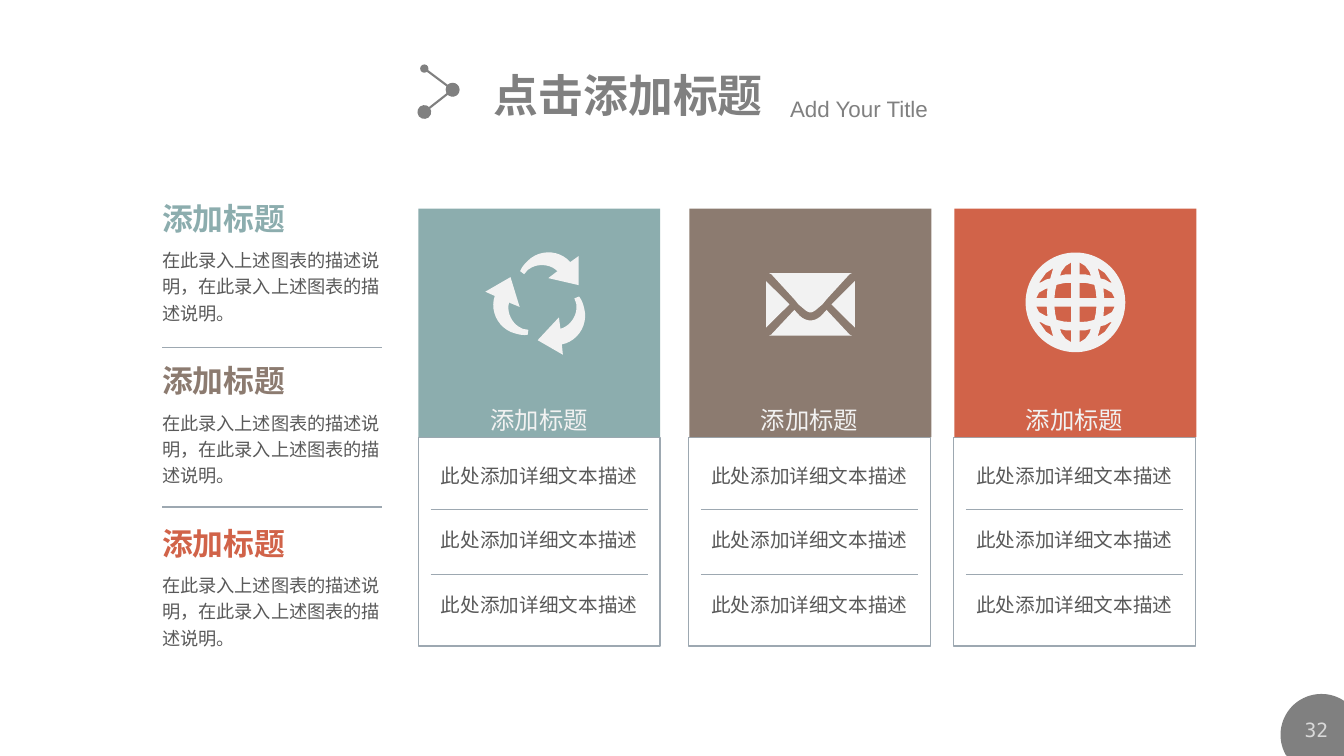
from itertools import product
from math import cos, pi, sin

from lxml import etree
from pptx import Presentation
from pptx import util as u
from pptx.dml.color import RGBColor
from pptx.enum import shapes, text
from pptx.oxml import ns

TEAL = RGBColor(0x8C, 0xAD, 0xAE)
BROWN = RGBColor(0x8C, 0x7B, 0x70)
ORANGE = RGBColor(0xD1, 0x63, 0x49)
RULE = RGBColor(0x9D, 0xA8, 0xB1)
INK = RGBColor(0x59, 0x59, 0x59)
GREY = RGBColor(0x80, 0x80, 0x80)
PALE = RGBColor(0xF2, 0xF2, 0xF2)
SILVER = RGBColor(0xD9, 0xD9, 0xD9)

CJK = "Noto Sans CJK SC"
SLIDE_WIDTH, SLIDE_HEIGHT = 960, 540


def set_values(target, **values):
    for name, value in values.items():
        setattr(target, name, value)


def write(shape, words, size, color, face=CJK, bold=False, align=text.PP_ALIGN.LEFT,
          spacing=None, wrap=True, baseline=None):
    frame = shape.text_frame
    set_values(frame, word_wrap=wrap, vertical_anchor=text.MSO_ANCHOR.TOP,
               auto_size=text.MSO_AUTO_SIZE.SHAPE_TO_FIT_TEXT)
    para = frame.paragraphs[0]
    set_values(para, alignment=align, line_spacing=spacing)
    span = para.add_run()
    span.text = words
    set_values(span.font, name=face, size=u.Pt(size), bold=bold)
    span.font.color.rgb = color
    properties = span._r.get_or_add_rPr()
    latin = properties.find(ns.qn("a:latin"))
    east_asian = etree.Element(ns.qn("a:ea"), typeface=CJK)
    latin.addnext(east_asian)
    if baseline is not None:
        properties.set("baseline", str(baseline))


def add_text(page, box, words, size, color, **style):
    write(page.shapes.add_textbox(*map(u.Pt, box)), words, size, color, **style)


def add_line(page, start, end, color=RULE, width=1, ends=()):
    """Draw a straight line; ends maps headEnd and tailEnd to oval sizes."""
    line = page.shapes.add_connector(shapes.MSO_CONNECTOR.STRAIGHT,
                                     *map(u.Pt, (*start, *end)))
    line.line.color.rgb = color
    line.line.width = u.Pt(width)
    outline = line.line._get_or_add_ln()
    for tag, size in ends:
        etree.SubElement(outline, ns.qn(f"a:{tag}"), type="oval", w=size, len=size)
    etree.SubElement(line._element.spPr, ns.qn("a:effectLst"))


def add_rectangle(page, box, fill=None, border=None):
    panel = page.shapes.add_shape(shapes.MSO_SHAPE.RECTANGLE, *map(u.Pt, box))
    panel.shadow.inherit = False
    if fill is None:
        panel.fill.background()
    else:
        panel.fill.solid()
        panel.fill.fore_color.rgb = fill
    if border is None:
        panel.line.fill.background()
    else:
        panel.line.color.rgb = border
        panel.line.width = u.Pt(1)


def add_outline(page, center, contours, color):
    """Fill closed contours whose points are offsets from center."""
    contours = [[(u.Pt(center[0] + x), u.Pt(center[1] + y)) for x, y in contour]
                for contour in contours]
    builder = page.shapes.build_freeform(*contours[0][0], scale=1.0)
    builder.add_line_segments(contours[0][1:], close=True)
    for contour in contours[1:]:
        builder.move_to(*contour[0])
        builder.add_line_segments(contour[1:], close=True)
    outline = builder.convert_to_shape()
    outline.shadow.inherit = False
    outline.fill.solid()
    outline.fill.fore_color.rgb = color
    outline.line.fill.background()


def circle(radius, count=96):
    return [(radius * cos(2 * pi * i / count), radius * sin(2 * pi * i / count))
            for i in range(count)]


def flatten(steps, pieces=10):
    """Turn steps of one point (line) or three points (Bezier curve) into points."""
    points = []
    for step in steps:
        if len(step) == 1:
            points.append(step[0])
            continue
        knots = (points[-1], *step)
        for i in range(1, pieces + 1):
            t = i / pieces
            weights = ((1 - t) ** 3, 3 * t * (1 - t) ** 2, 3 * t * t * (1 - t), t ** 3)
            points.append(tuple(sum(w * k[axis] for w, k in zip(weights, knots))
                                for axis in (0, 1)))
    return points


def recycle_contours():
    arrow = flatten([
        [(26, -32)], [(20, -27.7)],
        [(13, -35.6), (0.7, -37), (-8, -30.6)],
        [(-11.5, -27.7), (-14.4, -24.8), (-15.8, -21.2)],
        [(-13, -19)],
        [(-11.5, -20.5), (-10.8, -22), (-9.4, -22.7)],
        [(-3.6, -27), (5.8, -26.3), (10.8, -21.2)],
        [(4.3, -16.2)], [(26, -11.2)]])
    turns = [2 * pi * i / 3 for i in range(3)]
    return [[(x * cos(a) - y * sin(a), x * sin(a) + y * cos(a)) for x, y in arrow]
            for a in turns]


def envelope_contours():
    def mirrored(half):
        return half + [(-x, y) for x, y in reversed(half)]

    side = [(-31.7, -16.6), (-31.7, 16.6), (-15, 0)]
    flap = flatten([[(-29.5, -22.3)], [(-28, -21.6)], [(-11.5, -3.6)], [(-8.6, 0)],
                    [(-4.3, 3.6)], [(-3.6, 4.3), (-1.4, 5.8), (0, 5.8)]])
    body = flatten([[(-29.5, 22.3)], [(-28, 21.6)], [(-11.5, 4)], [(-7.9, 7.9)],
                    [(-5.8, 10), (-2.9, 11.5), (0, 11.5)]])
    return [side, [(-x, y) for x, y in side], mirrored(flap), mirrored(body)]


def globe_contours():
    quarter_holes = [
        [(3, 3), (15, 3), (14.5, 8), (13.5, 12.5), (8, 13.8), (3, 14)],
        [(3, 20), (7, 20), (11, 19), (10, 22), (7, 26), (3, 28.5)],
        [(20.5, 3), (28, 3), (26, 7), (21.5, 9.5), (20, 10)],
        [(18, 17), (21, 16.3), (24.5, 14.3), (26, 14), (21, 21), (15, 25), (16, 24)]]
    holes = [[(x * across, y * down) for x, y in hole]
             for across, down in product((1, -1), repeat=2) for hole in quarter_holes]
    return [circle(35.6)] + holes


def page_number(page, center, radius):
    x, y = center
    disc = [(min(dx, SLIDE_WIDTH - x), min(dy, SLIDE_HEIGHT - y))
            for dx, dy in circle(radius)]
    add_outline(page, center, [disc], GREY)
    add_text(page, (x - 21.6, y - 15.8, 36, 22.3), "32", 14, SILVER,
             face="DejaVu Sans Mono", align=text.PP_ALIGN.CENTER)


def heading(page, left, top):
    title = page.shapes.title
    set_values(title, left=u.Pt(left + 42.5), top=u.Pt(top - 4.3),
               width=u.Pt(208.8), height=u.Pt(46))
    write(title, "点击添加标题", 32, GREY, face="Arial", bold=True, wrap=False)
    add_text(page, (left + 254.2, top + 15.1, 181.4, 26.6), "Add Your Title", 16, GREY,
             face="Arial")
    joint = (left + 20.2, top + 15.1)
    add_line(page, (left, top), joint, GREY, 1.5,
             [("headEnd", "med"), ("tailEnd", "lg")])
    add_line(page, joint, (left, top + 31), GREY, 1.5,
             [("headEnd", "lg"), ("tailEnd", "lg")])


def sidebar(page, left, top, pitch):
    for row, color in enumerate((TEAL, BROWN, ORANGE)):
        y = top + row * pitch
        add_text(page, (left, y, 116, 34), "添加标题", 22, color, bold=True)
        add_text(page, (left, y + 32.6, 178.6, 62.6),
                 "在此录入上述图表的描述说明，在此录入上述图表的描述说明。", 13, INK, spacing=1.2)
    for y in (top + 109.4, top + 223.2):
        add_line(page, (left + 7.2, y), (left + 164.2, y))


def card(page, left, head_left, top, color, contours, icon_offset):
    width, head_height, inset = 172.8, 163.4, 8.8
    body_top = top + head_height
    inner_left, inner_width = left + inset, width - 2 * inset
    for row in range(3):
        add_text(page, (inner_left, body_top + 15.1 + row * 46.1, inner_width, 24.5),
                 "此处添加详细文本描述", 14, INK, align=text.PP_ALIGN.CENTER)
    add_rectangle(page, (left, body_top, width, 149), border=RULE)
    for y in (body_top + 51.4, body_top + 97.8):
        add_line(page, (inner_left, y), (inner_left + inner_width, y))
    add_rectangle(page, (head_left, top, width, head_height), fill=color)
    add_outline(page, (left + icon_offset[0], top + icon_offset[1]), contours, PALE)
    add_text(page, (inner_left, top + 123.1, inner_width, 31.7), "添加标题", 30, PALE,
             face="Arial", align=text.PP_ALIGN.CENTER, baseline=-3000)


def main():
    deck = Presentation()
    set_values(deck, slide_width=u.Pt(SLIDE_WIDTH), slide_height=u.Pt(SLIDE_HEIGHT))
    page = deck.slides.add_slide(deck.slide_layouts[5])
    page_number(page, (943.9, 524.9), 29.2)
    sidebar(page, 108.7, 139, 116)
    heading(page, 303.1, 49)
    cards = [(298.8, 298.8, TEAL, recycle_contours(), (88.6, 65.9)),
             (491.8, 492.5, BROWN, envelope_contours(), (87.1, 68.4)),
             (681.1, 681.8, ORANGE, globe_contours(), (87.1, 67))]
    for left, head_left, color, contours, icon_offset in cards:
        card(page, left, head_left, 149, color, contours, icon_offset)
    deck.save("out.pptx")


if __name__ == "__main__":
    main()
